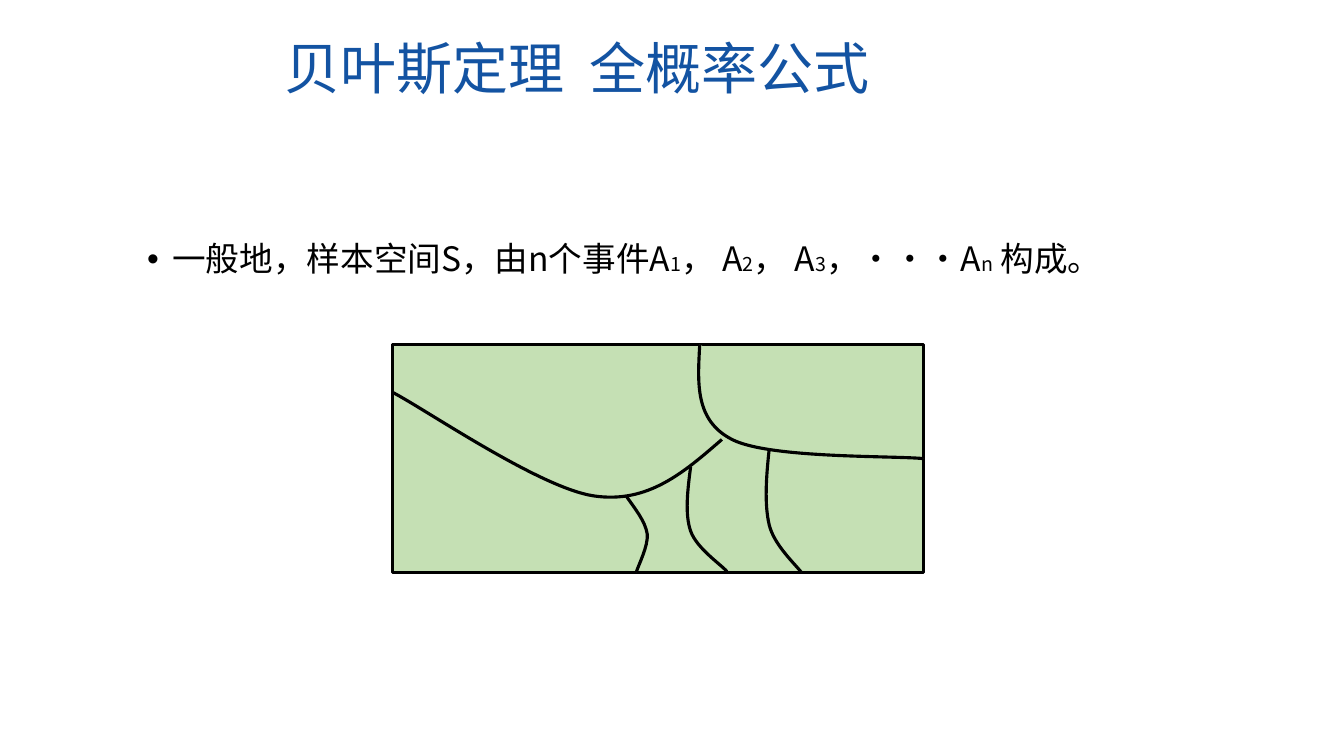
"""Build the slide on the law of total probability with a partitioned sample space."""
from dataclasses import dataclass

import lxml.etree
import pptx
import pptx.dml.color
import pptx.enum.shapes
import pptx.enum.text
import pptx.oxml.ns
import pptx.shapes.base
import pptx.shapes.group
import pptx.text.text
import pptx.util

FONT = "Noto Sans CJK SC"
TITLE_BLUE = pptx.dml.color.RGBColor(0x13, 0x53, 0xA2)
BLACK = pptx.dml.color.RGBColor(0x00, 0x00, 0x00)
SAMPLE_GREEN = pptx.dml.color.RGBColor(0xC5, 0xE0, 0xB4)

Point = tuple[float, float]


@dataclass(frozen=True)
class Boundary:
    start: Point
    bends: tuple[tuple[Point, Point, Point], ...]


BOUNDARIES = (
    Boundary((6.94, 3.42), (((6.92, 3.8), (6.89, 4.17), (7.26, 4.36)),
                            ((7.63, 4.55), (8.84, 4.52), (9.16, 4.55)))),
    Boundary((7.16, 4.36), (((6.79, 4.68), (6.43, 5), (5.89, 4.92)),
                            ((5.35, 4.84), (4.22, 4.06), (3.89, 3.89)))),
    Boundary((6.21, 4.92), (((6.3, 5.05), (6.4, 5.17), (6.42, 5.3)),
                            ((6.43, 5.42), (6.33, 5.61), (6.31, 5.68)))),
    Boundary((7.63, 4.45), (((7.6, 4.73), (7.58, 5), (7.63, 5.21)),
                            ((7.68, 5.41), (7.89, 5.6), (7.95, 5.68)))),
    Boundary((6.85, 4.63), (((6.82, 4.86), (6.79, 5.1), (6.85, 5.27)),
                            ((6.91, 5.44), (7.15, 5.6), (7.21, 5.67)))),
)

STATEMENT = (
    ("一般地，样本空间S，由n个事件A", "1"),
    ("， A", "2"),
    ("， A", "3"),
    ("，···A", "n"),
    (" 构成。", ""),
)


def inches(*lengths: float) -> list[pptx.util.Length]:
    return [pptx.util.Inches(length) for length in lengths]


def write(paragraph: pptx.text.text._Paragraph, text: str, *, size: float,
          color: pptx.dml.color.RGBColor) -> None:
    run = paragraph.add_run()
    run.text = text
    run.font.size = pptx.util.Pt(size)
    run.font.color.rgb = color
    run.font.name = FONT
    east_asian = lxml.etree.SubElement(run.font._element, pptx.oxml.ns.qn("a:ea"))
    east_asian.set("typeface", FONT)


def place(holder: pptx.shapes.base.BaseShape, left: float, top: float, width: float,
          height: float, anchor: pptx.enum.text.MSO_ANCHOR) -> pptx.text.text._Paragraph:
    holder.left, holder.top, holder.width, holder.height = inches(left, top, width, height)
    frame = holder.text_frame
    frame.word_wrap = True
    frame.auto_size = pptx.enum.text.MSO_AUTO_SIZE.NONE
    frame.vertical_anchor = anchor
    paragraph = frame.paragraphs[0]
    paragraph.alignment = pptx.enum.text.PP_ALIGN.LEFT
    return paragraph


def add_bullet(paragraph: pptx.text.text._Paragraph, indent: float) -> None:
    properties = paragraph._p.get_or_add_pPr()
    properties.set("marL", str(pptx.util.Inches(indent)))
    properties.set("indent", str(pptx.util.Inches(-indent)))
    lxml.etree.SubElement(properties, pptx.oxml.ns.qn("a:buChar")).set("char", "•")


def paint(region: pptx.shapes.base.BaseShape) -> None:
    region.shadow.inherit = False
    region.fill.solid()
    region.fill.fore_color.rgb = SAMPLE_GREEN
    region.line.color.rgb = BLACK
    region.line.width = pptx.util.Pt(2.25)


def draw_boundary(partition: pptx.shapes.group.GroupShape, boundary: Boundary) -> None:
    """Draw the control points as one outline, then join each three into a curve."""
    outline = partition.shapes.build_freeform(*inches(*boundary.start))
    outline.add_line_segments(
        [inches(*point) for bend in boundary.bends for point in bend], close=False)
    curve = outline.convert_to_shape()
    segments = list(curve._element.iter(pptx.oxml.ns.qn("a:lnTo")))
    for first, second, end in zip(segments[::3], segments[1::3], segments[2::3]):
        bend = lxml.etree.Element(pptx.oxml.ns.qn("a:cubicBezTo"))
        first.addprevious(bend)
        for segment in (first, second, end):
            bend.append(segment[0])
            segment.getparent().remove(segment)
    paint(curve)


def main() -> None:
    deck = pptx.Presentation()
    deck.slide_width, deck.slide_height = inches(13.33, 7.5)
    slide = deck.slides.add_slide(deck.slide_layouts[1])

    heading = place(slide.shapes.title, 2.72, 0.28, 7.23, 0.77,
                    pptx.enum.text.MSO_ANCHOR.MIDDLE)
    write(heading, "贝叶斯定理  全概率公式", size=40, color=TITLE_BLUE)

    statement = place(slide.placeholders[1], 1.36, 2.36, 9.86, 0.54,
                      pptx.enum.text.MSO_ANCHOR.TOP)
    add_bullet(statement, 0.25)
    statement.line_spacing = 0.9
    statement.space_before = pptx.util.Pt(0)
    for words, index in STATEMENT:
        write(statement, words, size=24, color=BLACK)
        if index:
            write(statement, index, size=14, color=BLACK)

    partition = slide.shapes.add_group_shape()
    paint(partition.shapes.add_shape(pptx.enum.shapes.MSO_SHAPE.RECTANGLE,
                                     *inches(3.89, 3.42, 5.27, 2.26)))
    for boundary in BOUNDARIES:
        draw_boundary(partition, boundary)

    deck.save("out.pptx")


if __name__ == "__main__":
    main()
